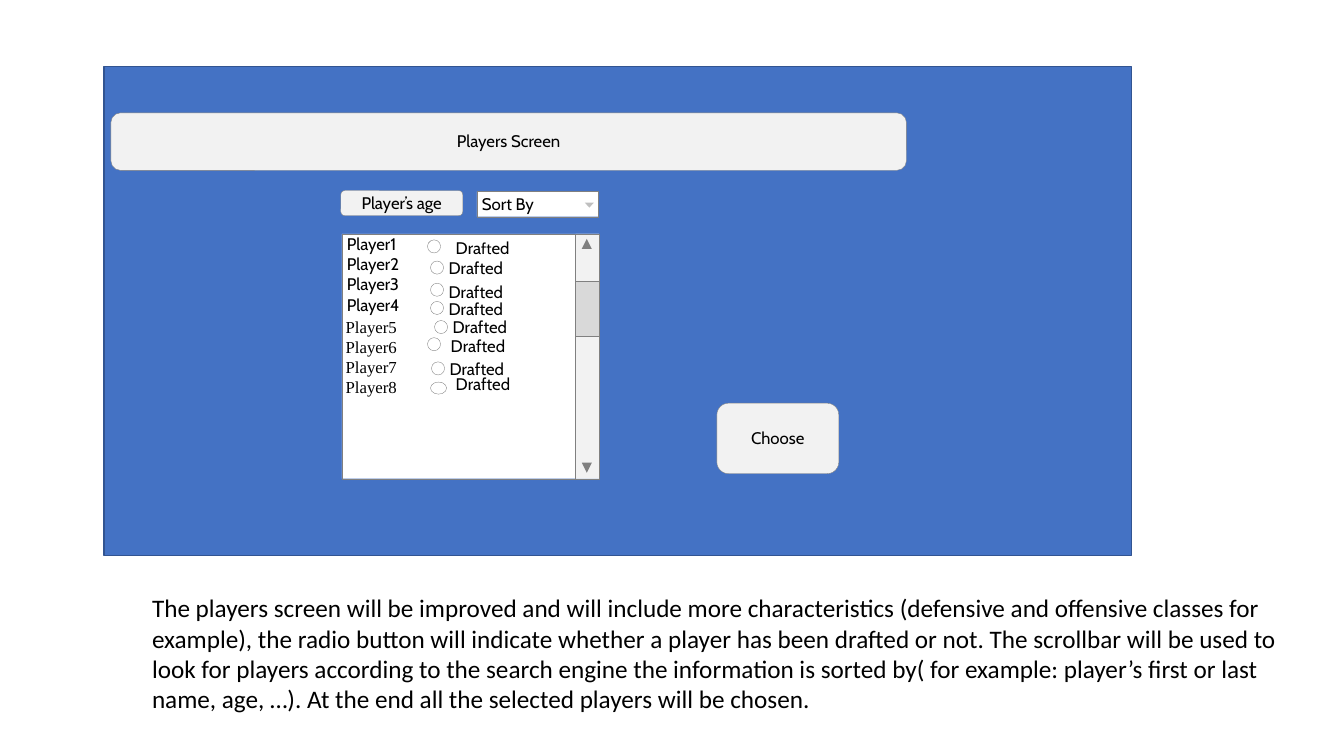
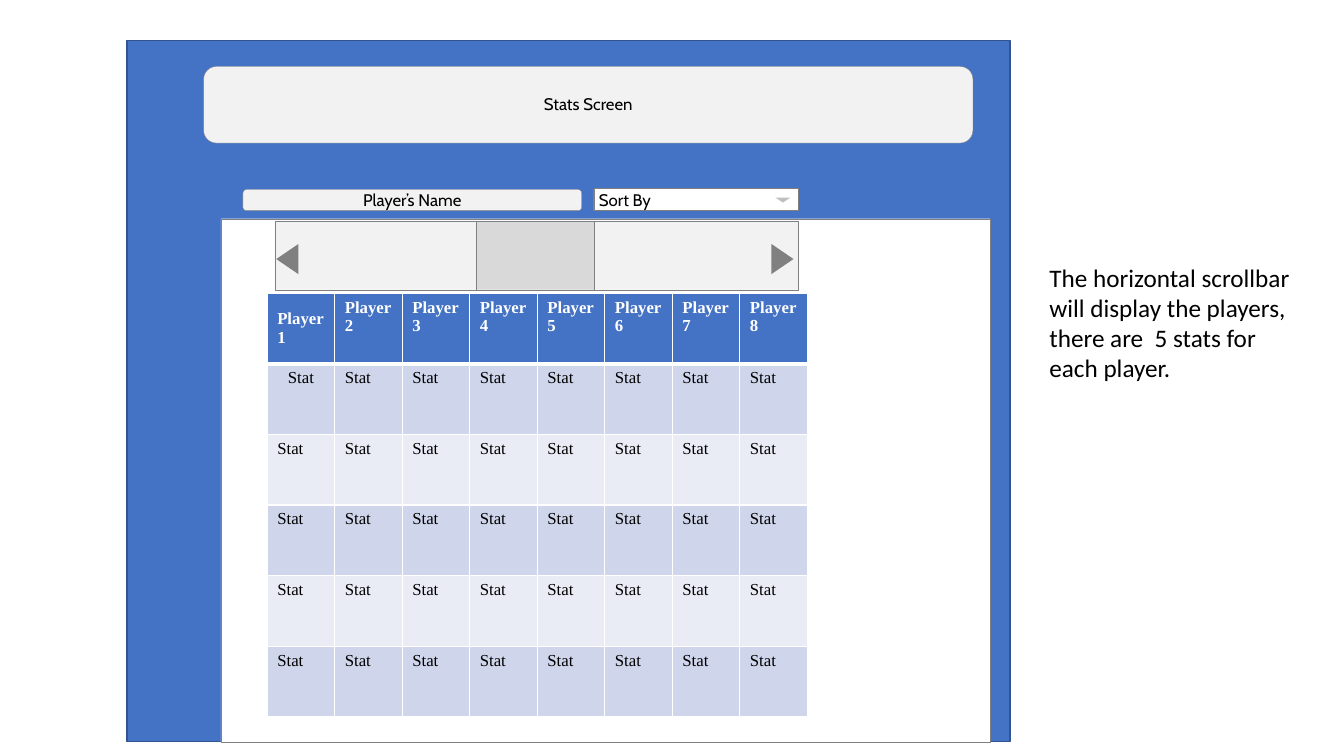
from dataclasses import dataclass

from lxml.etree import SubElement
from pptx import Presentation
from pptx.dml.color import RGBColor
from pptx.enum.shapes import MSO_SHAPE
from pptx.enum.text import MSO_ANCHOR, MSO_AUTO_SIZE, PP_ALIGN
from pptx.oxml.ns import qn
from pptx.util import Inches, Pt


@dataclass(frozen=True)
class Theme:
    """Colours, fonts and type sizes of the deck."""
    blue: str = "4472C4"
    dark_blue: str = "325491"
    white: str = "FFFFFF"
    black: str = "000000"
    gray: str = "808080"
    control: str = "F2F2F2"
    thumb: str = "D9D9D9"
    pale_arrow: str = "BFBFBF"
    bands: tuple = ("CFD5EA", "E9EBF5")
    control_font: str = "Cabin"
    note_font: str = "Calibri"
    serif_font: str = "Times New Roman"
    control_size: float = 12
    ligature_size: float = 11
    note_size: float = 18


THEME = Theme()
DEFAULT_INSETS = (0.1, 0.05, 0.1, 0.05)
BUTTON_INSETS = (0.1, 0, 0.1, 0.01)
DROPDOWN_INSETS = (0.05, 0.05, 0.05, 0.05)
LIST_INSETS = (0.05, 0, 0, 0.02)
RADIO_INSETS = (0.18, 0.02, 0.05, 0.03)


def add_run(para, text, font, size, color=THEME.black, bold=False):
    """Append one formatted run to a paragraph."""
    span = para.add_run()
    span.text = text
    span.font.name = font
    span.font.size = Pt(size)
    span.font.bold = bold
    span.font.color.rgb = RGBColor.from_string(color)


def set_insets(frame, insets):
    """Set the left, top, right and bottom insets of a text frame."""
    (frame.margin_left, frame.margin_top,
     frame.margin_right, frame.margin_bottom) = map(Inches, insets)


def add_figure(shapes, kind, at, fill, line=None, width=0.25, rotation=0):
    """Add a flat preset shape with an optional outline."""
    figure = shapes.add_shape(kind, *map(Inches, at))
    figure.shadow.inherit = False
    figure.rotation = rotation
    figure.fill.solid()
    figure.fill.fore_color.rgb = RGBColor.from_string(fill)
    if line:
        figure.line.color.rgb = RGBColor.from_string(line)
        figure.line.width = Pt(width)
    else:
        figure.line.fill.background()
    return figure


def add_outlined(shapes, kind, at, fill, rotation=0):
    """Add a shape with the thin gray outline of a control."""
    return add_figure(shapes, kind, at, fill, THEME.gray, rotation=rotation)


def add_label(figure, text, insets, align):
    """Write a vertically centred control label into a shape."""
    frame = figure.text_frame
    frame.vertical_anchor = MSO_ANCHOR.MIDDLE
    set_insets(frame, insets)
    para = frame.paragraphs[0]
    para.alignment = align
    add_run(para, text, THEME.control_font, THEME.control_size)


def add_text(shapes, at, lines, font, size=THEME.control_size, insets=DEFAULT_INSETS):
    """Add a wrapped text box with one paragraph for each line."""
    box = shapes.add_textbox(*map(Inches, at))
    frame = box.text_frame
    frame.word_wrap = True
    frame.auto_size = MSO_AUTO_SIZE.SHAPE_TO_FIT_TEXT
    set_insets(frame, insets)
    for index, line in enumerate(lines):
        para = frame.add_paragraph() if index else frame.paragraphs[0]
        add_run(para, line, font, size)


def add_backdrop(page, at):
    """Add the blue screen area behind the controls."""
    add_figure(page.shapes, MSO_SHAPE.RECTANGLE, at, THEME.blue, THEME.dark_blue, 1)


def add_button(page, at, text):
    """Add a rounded button with a centred label."""
    button = add_outlined(page.shapes, MSO_SHAPE.ROUNDED_RECTANGLE, at, THEME.control)
    add_label(button, text, BUTTON_INSETS, PP_ALIGN.CENTER)


def add_dropdown(page, at, arrow_at):
    """Add the sorting drop-down with its arrow."""
    shapes = page.shapes.add_group_shape().shapes
    field = add_outlined(shapes, MSO_SHAPE.RECTANGLE, at, THEME.white)
    add_label(field, "Sort By", DROPDOWN_INSETS, PP_ALIGN.LEFT)
    add_figure(shapes, MSO_SHAPE.ISOSCELES_TRIANGLE, arrow_at, THEME.pale_arrow, rotation=180)


def add_scrollbar(shapes, track_at, thumb_at, arrows, rotation=0):
    """Add a scrollbar track, its thumb and its end arrows."""
    for at, fill in ((track_at, THEME.control), (thumb_at, THEME.thumb)):
        add_outlined(shapes, MSO_SHAPE.RECTANGLE, at, fill, rotation)
    for at, turn in arrows:
        add_figure(shapes, MSO_SHAPE.ISOSCELES_TRIANGLE, at, THEME.gray, rotation=turn)


def add_radio(page, label_at, circle_at, spans):
    """Add a radio button with its label."""
    shapes = page.shapes.add_group_shape().shapes
    box = shapes.add_textbox(*map(Inches, (*label_at, 0.79, 0.25)))
    frame = box.text_frame
    frame.word_wrap = False
    frame.auto_size = MSO_AUTO_SIZE.SHAPE_TO_FIT_TEXT
    frame.vertical_anchor = MSO_ANCHOR.MIDDLE
    set_insets(frame, RADIO_INSETS)
    for text, size in spans:
        add_run(frame.paragraphs[0], text, THEME.control_font, size)
    add_outlined(shapes, MSO_SHAPE.OVAL, circle_at, THEME.white)


def set_borders(cell, top, bottom):
    """Give a cell white borders of the stated top and bottom widths."""
    properties = cell._tc.get_or_add_tcPr()
    for side, width in (("L", 1), ("R", 1), ("T", top), ("B", bottom)):
        line = SubElement(properties, qn(f"a:ln{side}"), w=str(Pt(width)))
        fill = SubElement(line, qn("a:solidFill"))
        SubElement(fill, qn("a:srgbClr"), val=THEME.white)


def add_stats_table(page, left, top, column_width, row_height, players, stats):
    """Add the table with one column for each player."""
    rows = stats + 1
    size = (column_width * players, row_height * rows)
    table = page.shapes.add_table(rows, players, *map(Inches, (left, top, *size))).table
    for column in table.columns:
        column.width = Inches(column_width)
    for row_index, row in enumerate(table.rows):
        row.height = Inches(row_height)
        header = row_index == 0
        fill = THEME.blue if header else THEME.bands[(row_index - 1) % 2]
        color = THEME.white if header else THEME.black
        for column_index, cell in enumerate(row.cells):
            set_borders(cell, 3 if row_index == 1 else 1, 3 if header else 1)
            cell.fill.solid()
            cell.fill.fore_color.rgb = RGBColor.from_string(fill)
            text = f"Player{column_index + 1}" if header else "Stat"
            add_run(cell.text_frame.paragraphs[0], text, THEME.serif_font,
                    THEME.control_size, color, header)
    table.cell(0, 0).vertical_anchor = MSO_ANCHOR.MIDDLE
    table.cell(1, 0).text_frame.paragraphs[0].alignment = PP_ALIGN.CENTER


def add_player_list(page):
    """Add the scrolling list of players and their radio buttons."""
    shapes = page.shapes.add_group_shape().shapes
    add_outlined(shapes, MSO_SHAPE.RECTANGLE, (3.39, 2.32, 2.55, 2.43), THEME.white)
    names = [f"Player{number}" for number in range(1, 9)]
    add_text(shapes, (3.39, 2.32, 2.55, 0.83), names[:4], THEME.control_font,
             insets=LIST_INSETS)
    add_scrollbar(shapes, (5.71, 2.32, 0.23, 2.43), (5.71, 2.79, 0.23, 0.55),
                  (((5.77, 2.37, 0.1, 0.1), 0), ((5.77, 4.59, 0.1, 0.1), 180)))
    add_text(page.shapes, (3.33, 3.09, 6.67, 0.91), names[4:], THEME.serif_font)
    size = THEME.control_size
    split_label = (("Dra", size), ("ft", THEME.ligature_size), ("ed", size))
    radios = (
        ((4.34, 2.34), (4.24, 2.38)),
        ((4.27, 2.54), (4.27, 2.59)),
        ((4.27, 2.77), (4.27, 2.81)),
        ((4.27, 2.94), (4.27, 2.99)),
        ((4.31, 3.12), (4.31, 3.18)),
        ((4.29, 3.31), (4.24, 3.35)),
        ((4.28, 3.54), (4.28, 3.59)),
        ((4.34, 3.69), (4.27, 3.79)),
    )
    for index, (label_at, circle_at) in enumerate(radios):
        spans = (("Drafted", size),) if index else split_label
        circle_size = (0.16, 0.12) if index == len(radios) - 1 else (0.13, 0.13)
        add_radio(page, label_at, (*circle_at, *circle_size), spans)


def build_players_page(page):
    """Build the players screen."""
    add_backdrop(page, (1.03, 0.66, 10.19, 4.85))
    add_player_list(page)
    add_button(page, (3.38, 1.89, 1.21, 0.25), "Player’s age")
    add_dropdown(page, (4.73, 1.9, 1.2, 0.25), (5.8, 2.01, 0.09, 0.05))
    add_button(page, (1.1, 1.12, 7.89, 0.57), "Players Screen")
    add_button(page, (7.11, 4, 1.21, 0.7), "Choose")
    note = (
        "The players screen will be improved and will include more characteristics "
        "(defensive and offensive classes for example), the radio button will indicate "
        "whether a player has been drafted or not. The scrollbar will be used to look for "
        "players according to the search engine the information is sorted by( for example: "
        "player’s first or last name, age, …). At the end all the selected players will be "
        "chosen."
    )
    add_text(page.shapes, (1.41, 5.83, 11.67, 1.31), [note], THEME.note_font, THEME.note_size)


def build_stats_page(page):
    """Build the stats screen."""
    add_backdrop(page, (1.26, 0.4, 8.76, 6.96))
    add_button(page, (2.02, 0.66, 7.63, 0.76), "Stats Screen")
    shapes = page.shapes.add_group_shape().shapes
    add_outlined(shapes, MSO_SHAPE.RECTANGLE, (2.19, 2.17, 7.63, 5.19), THEME.white)
    add_scrollbar(shapes, (4.98, -0.06, 0.68, 5.19), (4.97, 1.95, 0.68, 1.17),
                  (((2.7, 2.46, 0.3, 0.22), 270), ((7.61, 2.46, 0.3, 0.22), 90)), 90)
    add_stats_table(page, 2.65, 2.91, 0.67, 0.7, players=8, stats=5)
    add_dropdown(page, (5.89, 1.87, 2.03, 0.22), (7.69, 1.96, 0.15, 0.05))
    add_button(page, (2.41, 1.88, 3.36, 0.21), "Player’s Name")
    note = ("The horizontal scrollbar will display the players, "
            "there are  5 stats for each player.")
    add_text(page.shapes, (10.31, 2.55, 2.64, 1.31), [note], THEME.note_font, THEME.note_size)


def main():
    """Build and save the deck."""
    deck = Presentation()
    deck.slide_width, deck.slide_height = Inches(13.33), Inches(7.5)
    for build in (build_players_page, build_stats_page):
        build(deck.slides.add_slide(deck.slide_layouts[6]))
    deck.save("out.pptx")


if __name__ == "__main__":
    main()
